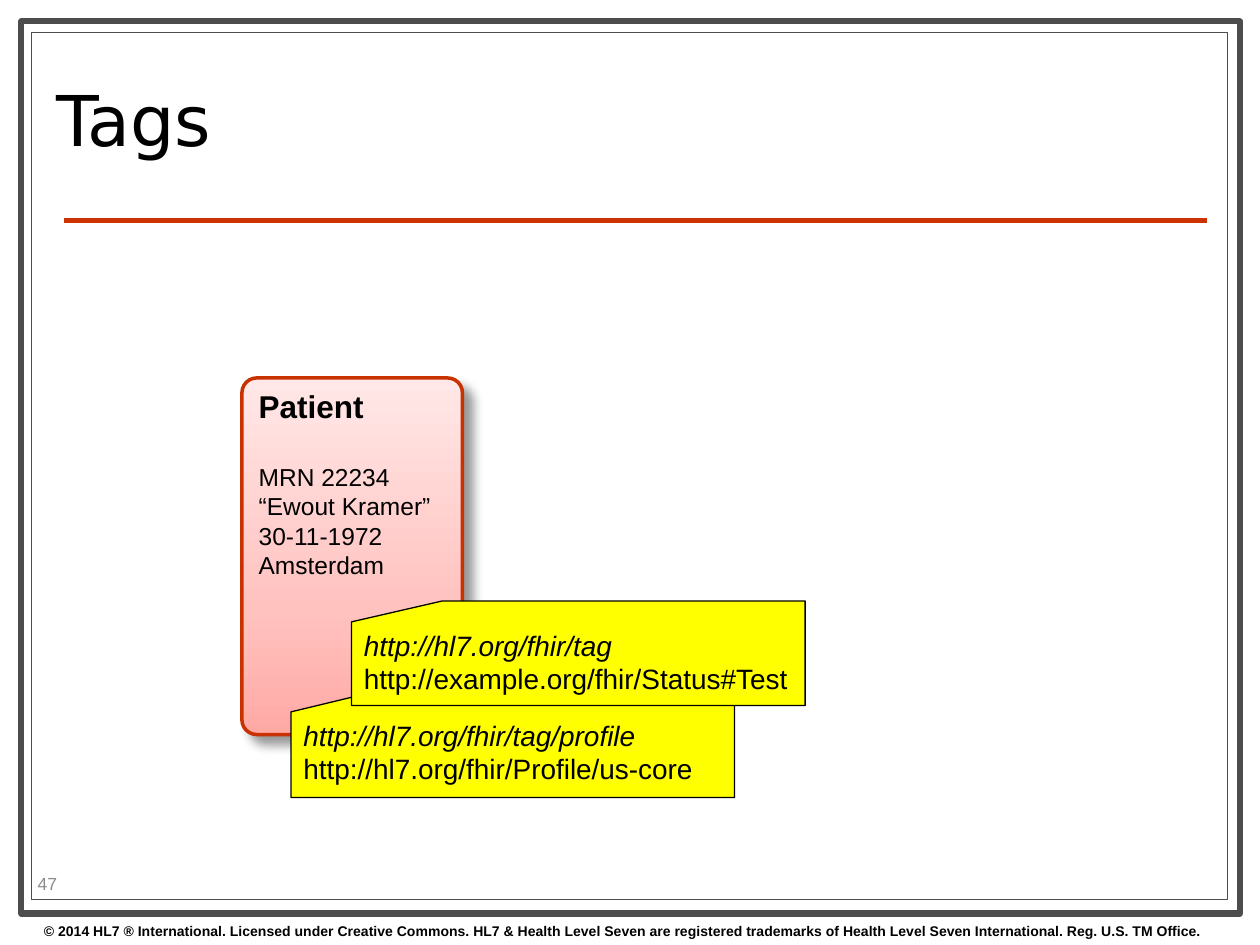
from lxml import etree
from pptx import Presentation
from pptx.dml.color import RGBColor
from pptx.enum.shapes import MSO_CONNECTOR as Conn, MSO_SHAPE as Geo
from pptx.enum.text import MSO_ANCHOR as Anchor, PP_ALIGN as Align
from pptx.oxml import parse_xml
from pptx.oxml.ns import nsdecls, qn
from pptx.util import Inches, Pt

# Content
TITLE = "Tags"
PAGE = "47"
FOOT = ("© 2014 HL7 ® International. Licensed under Creative Commons. "
        "HL7 & Health Level Seven are registered trademarks of "
        "Health Level Seven International. Reg. U.S. TM Office.")
HEAD = "Patient"
FACTS = ["MRN 22234", "“Ewout Kramer”", "30-11-1972", "Amsterdam"]
TAGS = [  # box, scheme, term
    ((2.31, 5.48, 3.52, 0.85), "http://hl7.org/fhir/tag/profile",
     "http://hl7.org/fhir/Profile/us-core"),
    ((2.79, 4.77, 3.6, 0.83), "http://hl7.org/fhir/tag",
     "http://example.org/fhir/Status#Test"),
]
FRAMES = [((0.17, 0.17, 9.67, 7.08), 3.5), ((0.25, 0.26, 9.49, 6.88), 0.75)]

THEME = {
    "font": "Arial", "title font": "DejaVu Sans",
    "ink": "000000", "paper": "FFFFFF", "frame": "4D4D4D", "rule": "CC3300",
    "page": "8C8C8C", "edge": "C83200", "tag": "FFFF00",
    "fade": [(0, "FFA9A5"), (35, "FFC2BF"), (100, "FFE8E7")],
    "size": {"title": 40, "head": 18, "fact": 14, "tag": 16,
             "page": 10, "foot": 8},
}


def rgb(name):
    return RGBColor.from_string(THEME[name])


def add_run(para, text, size, color="ink", font="font", bold=False,
            slant=False):
    run = para.add_run()
    run.text = text
    face = run.font
    face.name = THEME[font]
    face.size = Pt(THEME["size"][size])
    face.color.rgb = rgb(color)
    face.bold, face.italic = bold, slant


def add_box(slide, box, anchor=Anchor.TOP):
    frame = slide.shapes.add_textbox(*map(Inches, box)).text_frame
    frame.word_wrap = True
    frame.vertical_anchor = anchor
    return frame.paragraphs[0]


def add_shape(slide, kind, box, fill, line, width):
    shape = slide.shapes.add_shape(kind, *map(Inches, box))
    shape.shadow.inherit = False
    shape.fill.solid()
    shape.fill.fore_color.rgb = rgb(fill)
    shape.line.color.rgb = rgb(line)
    shape.line.width = Pt(width)
    frame = shape.text_frame
    frame.word_wrap = True
    frame.vertical_anchor = Anchor.TOP
    frame.paragraphs[0].alignment = Align.LEFT
    return shape


def add_fade(shape):
    stops = "".join(
        f'<a:gs pos="{pos * 1000}"><a:srgbClr val="{tone}"/></a:gs>'
        for pos, tone in THEME["fade"])
    props = shape.fill._xPr
    props.replace(props.find(qn("a:solidFill")), parse_xml(
        f'<a:gradFill {nsdecls("a")} rotWithShape="1"><a:gsLst>{stops}'
        '</a:gsLst><a:lin ang="16200000" scaled="0"/></a:gradFill>'))


def add_shade(shape):
    props = shape.fill._xPr
    props.find(qn("a:effectLst")).append(parse_xml(
        f'<a:outerShdw {nsdecls("a")} blurRad="{Pt(6)}" dist="{Pt(7)}" '
        'dir="2700000" algn="tl" rotWithShape="0"><a:srgbClr val="000000">'
        '<a:alpha val="40000"/></a:srgbClr></a:outerShdw>'))


def main():
    prs = Presentation()
    prs.slide_width, prs.slide_height = Inches(10), Inches(7.5)
    slide = prs.slides.add_slide(prs.slide_layouts[6])

    # Double frame, rule and footer
    for box, width in FRAMES:
        add_shape(slide, Geo.RECTANGLE, box, "paper", "frame", width)
    rule = slide.shapes.add_connector(
        Conn.STRAIGHT, *map(Inches, (0.51, 1.75, 9.58, 1.75)))
    rule.line.color.rgb = rgb("rule")
    rule.line.width = Pt(3)
    etree.SubElement(rule._element.spPr, qn("a:effectLst"))
    add_run(add_box(slide, (0.25, 7.27, 10, 0.23)), FOOT, "foot", bold=True)

    # Title and page number
    para = add_box(slide, (0.35, 0.36, 7.17, 1.29), Anchor.MIDDLE)
    para.line_spacing = 0.8
    add_run(para, TITLE, "title", font="title font")
    add_run(add_box(slide, (0.2, 6.89, 0.79, 0.24), Anchor.MIDDLE),
            PAGE, "page", "page")

    # Patient card
    card = add_shape(slide, Geo.ROUNDED_RECTANGLE, (1.92, 3, 1.75, 2.83),
                     "paper", "edge", 2)
    card.adjustments[0] = 0.067
    add_fade(card)
    add_shade(card)
    frame = card.text_frame
    frame.margin_top = Inches(0.04)
    add_run(frame.paragraphs[0], HEAD, "head", bold=True)
    for i, fact in enumerate(FACTS):
        para = frame.add_paragraph()
        para.alignment = Align.LEFT
        if i == 0:
            para.space_before = Pt(21)
        add_run(para, fact, "fact")

    # Tags pinned on the card
    for box, scheme, term in TAGS:
        tag = add_shape(slide, Geo.FLOWCHART_CARD, box, "tag", "ink", 0.75)
        para = tag.text_frame.paragraphs[0]
        add_run(para, scheme, "tag", slant=True)
        para.add_line_break()
        add_run(para, term, "tag")

    prs.save("out.pptx")


if __name__ == "__main__":
    main()
